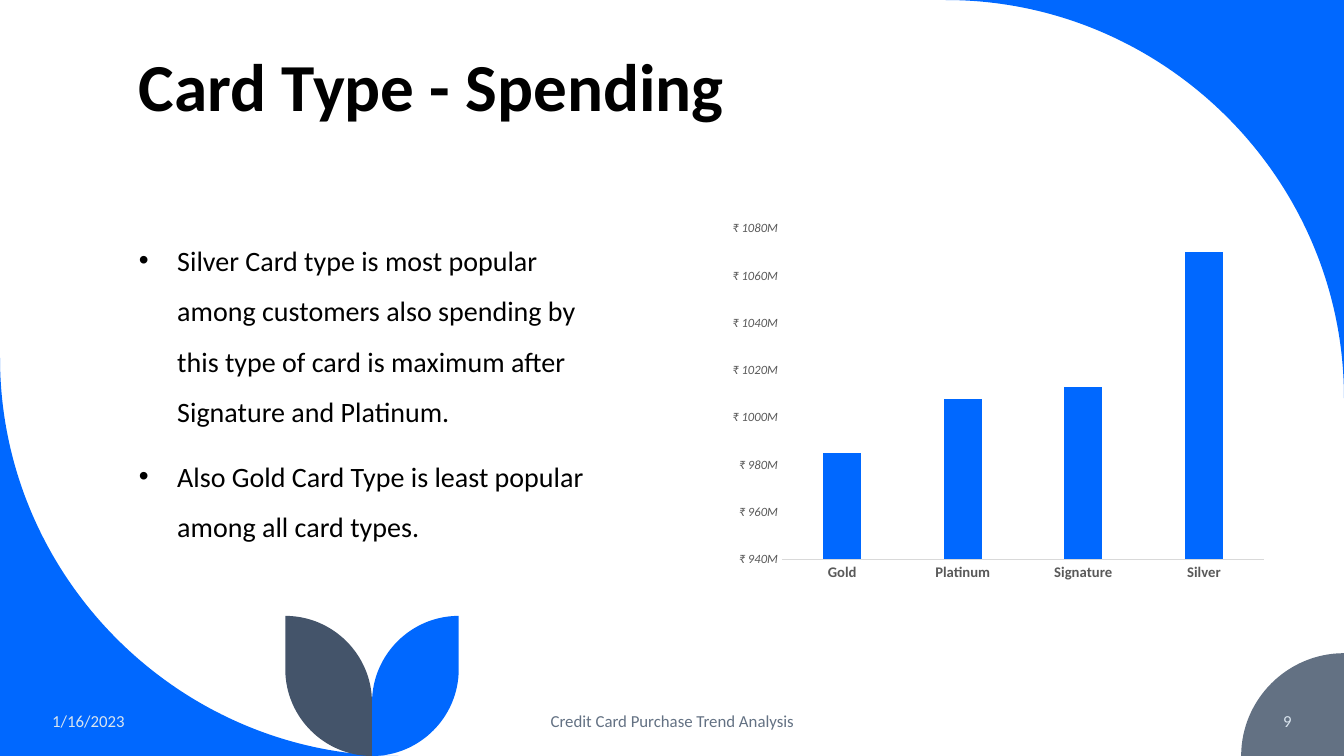
from lxml import etree
from pptx import Presentation
from pptx.chart.data import CategoryChartData as ChartData
from pptx.dml.color import RGBColor as RGB
from pptx.enum.chart import XL_CHART_TYPE as Kind, XL_TICK_MARK as Tick
from pptx.enum.text import MSO_ANCHOR as Anchor, PP_ALIGN as Align
from pptx.oxml import parse_xml
from pptx.oxml.ns import nsdecls, qn
from pptx.util import Inches, Pt

# Content
WIDE, HIGH = 13.33, 7.5
FONT = "Calibri"
COLORS = {"blue": "0068FF", "slate": "44546A", "gray": "637183", "pale": "DAE5EF",
          "black": "000000", "label": "595959", "rule": "D9D9D9"}
TITLE = "Card Type - Spending"
BULLETS = [
    "Silver Card type is most popular among customers also spending by "
    "this type of card is maximum after Signature and Platinum.",
    "Also Gold Card Type is least popular among all card types.",
]
FOOTER = [  # text, left, width, alignment, color
    ("1/16/2023", 0.42, 1.93, Align.LEFT, "pale"),
    ("Credit Card Purchase Trend Analysis", 4.42, 4.5, Align.CENTER, "gray"),
    ("9", 11.1, 1.81, Align.RIGHT, "pale"),
]
SPEND = {"Gold": 985, "Platinum": 1008, "Signature": 1013, "Silver": 1070}
MILLION = 1_000_000
PLOT = {"x": 0.11, "y": 0.04, "w": 0.87, "h": 0.88}

BIG, SMALL, LEAF = 3.95, 1.02, 0.86  # arc radii
STEM, TOP = 3.69, 6.11               # leaf stem and leaf top
BEND = 0.55                          # handle length of a quarter circle


def rgb(name):
    return RGB.from_string(COLORS[name])


def bend(start, corner, end):
    """Handles and end of a quarter circle that bulges toward the corner."""
    def pull(point):
        return tuple(p + BEND * (c - p) for p, c in zip(point, corner))
    return [pull(start), pull(end), end]


def wedge(start, corner, end, tip):
    """Quarter circle closed by straight sides that meet at the tip."""
    return [[start], bend(start, corner, end), [tip]]


def leaf(side):
    """Outline of a leaf to the right (1) or left (-1) of the stem."""
    rim = STEM + side * LEAF
    low, high = (rim, HIGH - LEAF), (STEM, TOP + LEAF)
    foot, peak = (STEM, HIGH), (rim, TOP)
    return [[peak], [low], bend(low, (rim, HIGH), foot),
            [high], bend(high, (STEM, TOP), peak)]


def draw(slide, parts, color):
    """Freeform from parts: one point is a line, three points are a curve."""
    first, *rest = [(Inches(x), Inches(y)) for part in parts for x, y in part]
    pen = slide.shapes.build_freeform(*first, scale=1.0)
    pen.add_line_segments(rest)
    shape = pen.convert_to_shape()
    steps = iter(shape._element.findall(".//" + qn("a:lnTo")))
    for part in parts[1:]:
        group = [next(steps) for _ in part]
        if len(group) == 3:
            curve = etree.Element(qn("a:cubicBezTo"))
            group[0].addprevious(curve)
            for step in group:
                curve.append(step[0])
                step.getparent().remove(step)
    shape.shadow.inherit = False
    shape.fill.solid()
    shape.fill.fore_color.rgb = rgb(color)
    shape.line.fill.background()


def style(font, size, color, bold=False, italic=False):
    font.name, font.size, font.bold, font.italic = FONT, Pt(size), bold, italic
    font.color.rgb = rgb(color)


def box(slide, place, lines, size, color, anchor=Anchor.TOP, align=Align.LEFT,
        space=1, bold=False, bullet=False):
    frame = slide.shapes.add_textbox(*map(Inches, place)).text_frame
    frame.word_wrap, frame.vertical_anchor = True, anchor
    for i, line in enumerate(lines):
        para = frame.add_paragraph() if i else frame.paragraphs[0]
        if bullet:
            props = para._p.get_or_add_pPr()
            props.set("marL", str(Inches(0.38)))
            props.set("indent", str(-Inches(0.38)))
            etree.SubElement(props, qn("a:buFont")).set("typeface", "Arial")
            etree.SubElement(props, qn("a:buChar")).set("char", "•")
        para.alignment, para.line_spacing = align, space
        if i:
            para.space_before = Pt(10)
        run = para.add_run()
        run.text = line
        style(run.font, size, color, bold)


def add_bars(slide):
    data = ChartData()
    data.categories = list(SPEND)
    data.add_series("Series 1", [v * MILLION for v in SPEND.values()])
    area = map(Inches, (7.15, 2.12, 5.5, 3.73))
    chart = slide.shapes.add_chart(Kind.COLUMN_CLUSTERED, *area, data).chart
    chart.has_legend = chart.has_title = False
    style(chart.font, 10, "black")

    # Bars
    plot = chart.plots[0]
    plot.gap_width, plot.overlap, plot.vary_by_categories = 219, -27, False
    fill = plot.series[0].format.fill
    fill.solid()
    fill.fore_color.rgb = rgb("blue")

    # Axes
    cats, vals = chart.category_axis, chart.value_axis
    for axis in (cats, vals):
        axis.has_major_gridlines = False
        axis.major_tick_mark = axis.minor_tick_mark = Tick.NONE
    style(cats.tick_labels.font, 10.5, "label", bold=True)
    style(vals.tick_labels.font, 9, "label", italic=True)
    cats.format.line.color.rgb = rgb("rule")
    cats.format.line.width = Pt(0.75)
    vals.format.line.fill.background()
    vals.minimum_scale, vals.maximum_scale = 940 * MILLION, 1080 * MILLION
    vals.major_unit = 20 * MILLION
    vals.tick_labels.number_format = '"₹"\\ #,,"M"'
    vals.tick_labels.number_format_is_linked = False

    # Plot area
    spots = "".join(f'<c:{k} val="{v}"/>' for k, v in PLOT.items())
    layout = parse_xml(
        f'<c:layout {nsdecls("c")}><c:manualLayout><c:layoutTarget val="inner"/>'
        f'<c:xMode val="edge"/><c:yMode val="edge"/>{spots}'
        '</c:manualLayout></c:layout>')
    inner = chart._chartSpace.chart.plotArea
    for old in inner.findall(qn("c:layout")):
        inner.remove(old)
    inner.insert(0, layout)


def main():
    deck = Presentation()
    deck.slide_width, deck.slide_height = Inches(WIDE), Inches(HIGH)
    slide = deck.slides.add_slide(deck.slide_layouts[6])

    # Corners and leaves
    east, south = (WIDE, 0), (0, HIGH)
    draw(slide, wedge((WIDE, BIG), east, (WIDE - BIG, 0), east), "blue")
    draw(slide, wedge((0, HIGH - BIG), south, (BIG, HIGH), south), "blue")
    draw(slide, wedge((WIDE, HIGH - SMALL), (WIDE - SMALL, HIGH - SMALL),
                      (WIDE - SMALL, HIGH), (WIDE, HIGH)), "gray")
    draw(slide, leaf(1), "blue")
    draw(slide, leaf(-1), "slate")

    # Text
    box(slide, (1.28, 0.42, 10.69, 0.88), [TITLE], 48, "black",
        anchor=Anchor.BOTTOM, space=0.9, bold=True)
    box(slide, (1.28, 2.2, 4.8, 3.09), BULLETS, 20, "black",
        space=1.5, bullet=True)
    for text, left, width, align, color in FOOTER:
        box(slide, (left, 6.95, width, 0.4), [text], 12, color,
            anchor=Anchor.MIDDLE, align=align)

    add_bars(slide)
    deck.save("out.pptx")


if __name__ == "__main__":
    main()
